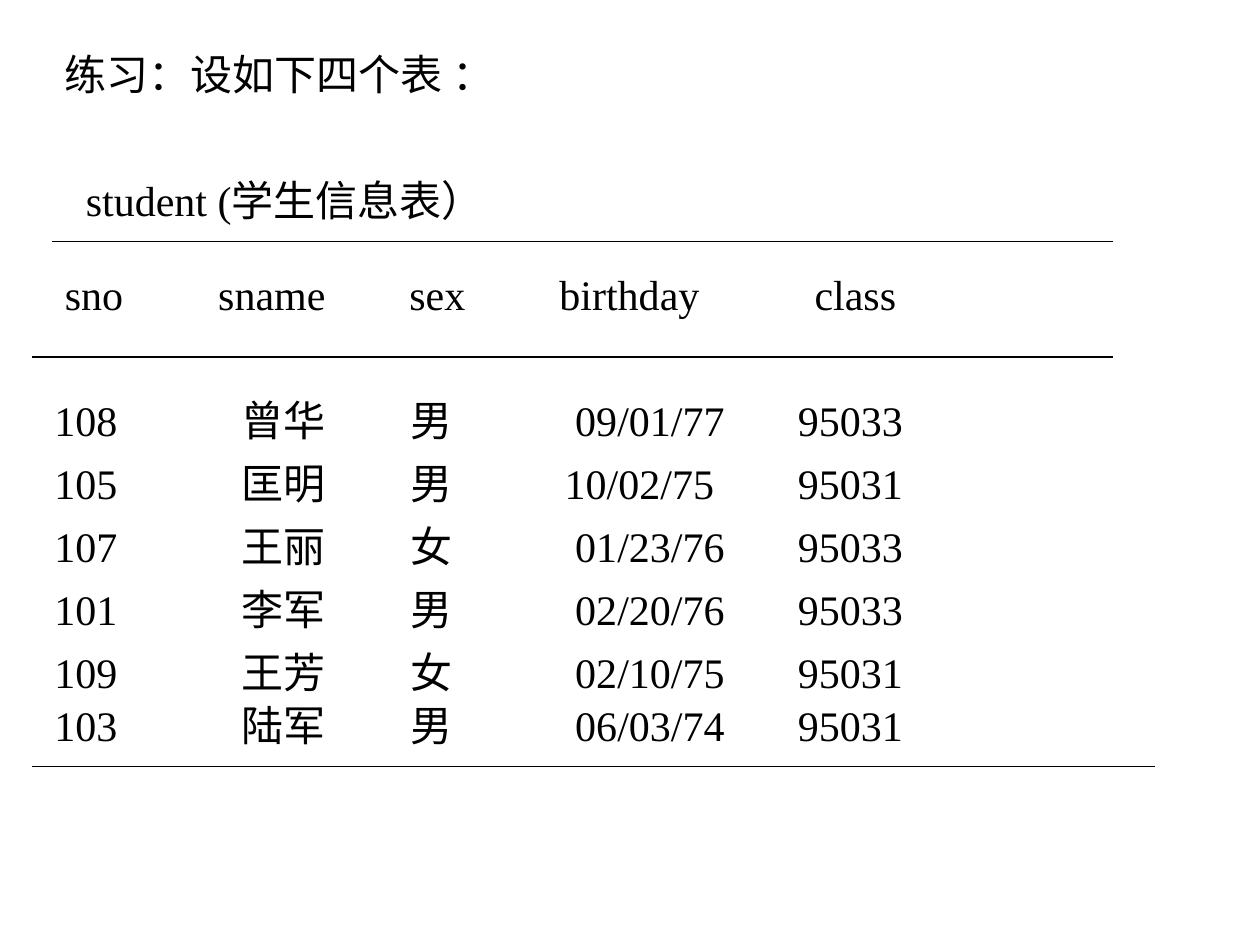
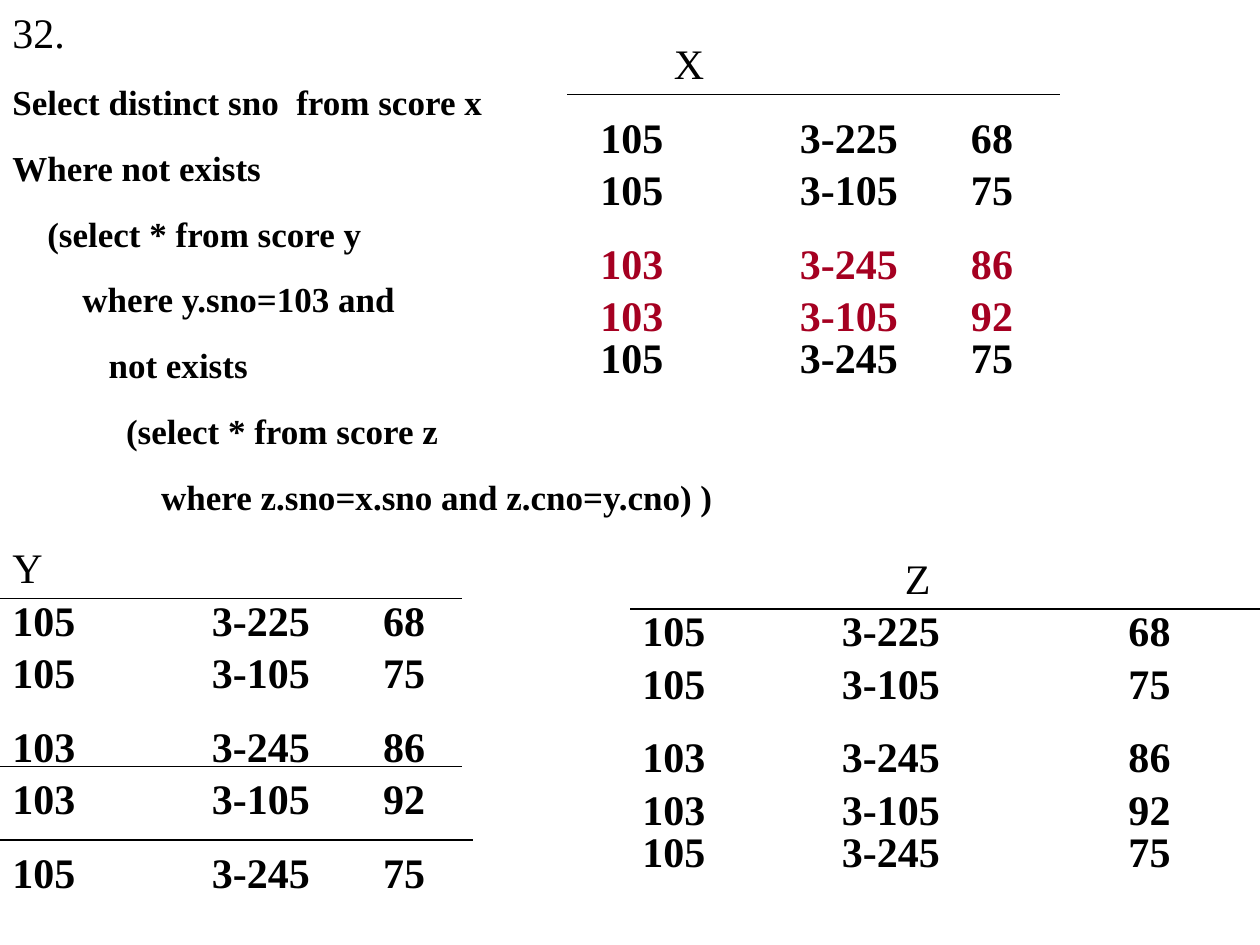
from lxml import etree
from pptx import Presentation
from pptx.dml.color import RGBColor
from pptx.enum.shapes import MSO_CONNECTOR
from pptx.oxml.ns import qn
from pptx.util import Pt

PX = 7620  # 120 px to the inch
BLACK = RGBColor(0x00, 0x00, 0x00)
RED = RGBColor(0xA5, 0x00, 0x21)
FONT = "Times New Roman"


def add_text(slide, box, lines, size=24, bold=False, color=BLACK, tabs=()):
    """Add a text box; every line after the first is bold code."""
    shape = slide.shapes.add_textbox(*(n * PX for n in box))
    frame = shape.text_frame
    frame.word_wrap = True
    for i, line in enumerate(lines):
        para = frame.paragraphs[0] if i == 0 else frame.add_paragraph()
        if i:
            para.space_before = Pt(13.6)
        if tabs:
            stops = etree.SubElement(para._p.get_or_add_pPr(), qn("a:tabLst"))
            for pos in tabs:
                etree.SubElement(stops, qn("a:tab"), pos=str(pos * PX), algn="l")
        run = para.add_run()
        run.text = line
        run.font.name = FONT
        run.font.size = Pt(20 if i else size)
        run.font.bold = bold or i > 0
        run.font.color.rgb = color


def add_rule(slide, left, right, y):
    """Add a thin horizontal line."""
    rule = slide.shapes.add_connector(
        MSO_CONNECTOR.STRAIGHT, left * PX, y * PX, right * PX, y * PX)
    rule.line.color.rgb = BLACK
    rule.line.width = Pt(0.75)
    etree.SubElement(rule._element.spPr, qn("a:effectLst"))


deck = Presentation()
deck.slide_width = 1200 * PX
deck.slide_height = 900 * PX
blank = deck.slide_layouts[6]

# Slide 1: student table
slide = deck.slides.add_slide(blank)
add_text(slide, (50, 40, 480, 60), ["练习：设如下四个表 ："])
add_text(slide, (70, 160, 910, 60), ["student (学生信息表）"])
add_text(slide, (50, 250, 1000, 60), ["sno\tsname\tsex\tbirthday\tclass"],
         tabs=(146, 328, 471, 714))

students = [
    (370, 496, "108", "曾华", "男", "09/01/77", "95033"),
    (430, 486, "105", "匡明", "男", "10/02/75", "95031"),
    (490, 496, "107", "王丽", "女", "01/23/76", "95033"),
    (550, 496, "101", "李军", "男", "02/20/76", "95033"),
    (610, 496, "109", "王芳", "女", "02/10/75", "95031"),
    (660, 496, "103", "陆军", "男", "06/03/74", "95031"),
]
for top, date, *cells in students:
    add_text(slide, (40, top, 940, 60), ["\t".join(cells)],
             tabs=(178, 339, date, 708))

for left, right, y in [(50, 1060, 230), (30, 1060, 340), (30, 1100, 730)]:
    add_rule(slide, left, right, y)

# Slide 2: query
slide = deck.slides.add_slide(blank)
add_text(slide, (0, 0, 1030, 486), [
    "32.",
    "Select distinct sno  from score x",
    "Where not exists",
    "    (select * from score y",
    "        where y.sno=103 and",
    "           not exists",
    "             (select * from score z",
    "                 where z.sno=x.sno and z.cno=y.cno) )",
])

# Score tables X, Y and Z: the same rows in three places
scores = [
    ("105", "3-225", "68"),
    ("105", "3-105", "75"),
    ("103", "3-245", "86"),
    ("103", "3-105", "92"),
    ("105", "3-245", "75"),
]
tables = [
    ("X", (630, 30, 360, 60), 560, 353, (100, 150, 220, 270, 310)),
    ("Y", (0, 510, 310, 60), 0, 353, (560, 610, 680, 730, 800)),
    ("Z", (850, 520, 400, 60), 600, 463, (570, 620, 690, 740, 780)),
]
for name, label, left, grade, tops in tables:
    add_text(slide, label, [name])
    for top, cells in zip(tops, scores):
        color = RED if name == "X" and cells[0] == "103" else BLACK
        add_text(slide, (left, top, grade + 67, 60), ["\t".join(cells)],
                 bold=True, color=color, tabs=(190, grade))

for left, right, y in [(540, 1010, 90), (0, 440, 570), (0, 440, 730),
                       (0, 450, 800), (600, 1200, 580)]:
    add_rule(slide, left, right, y)

deck.save("out.pptx")
